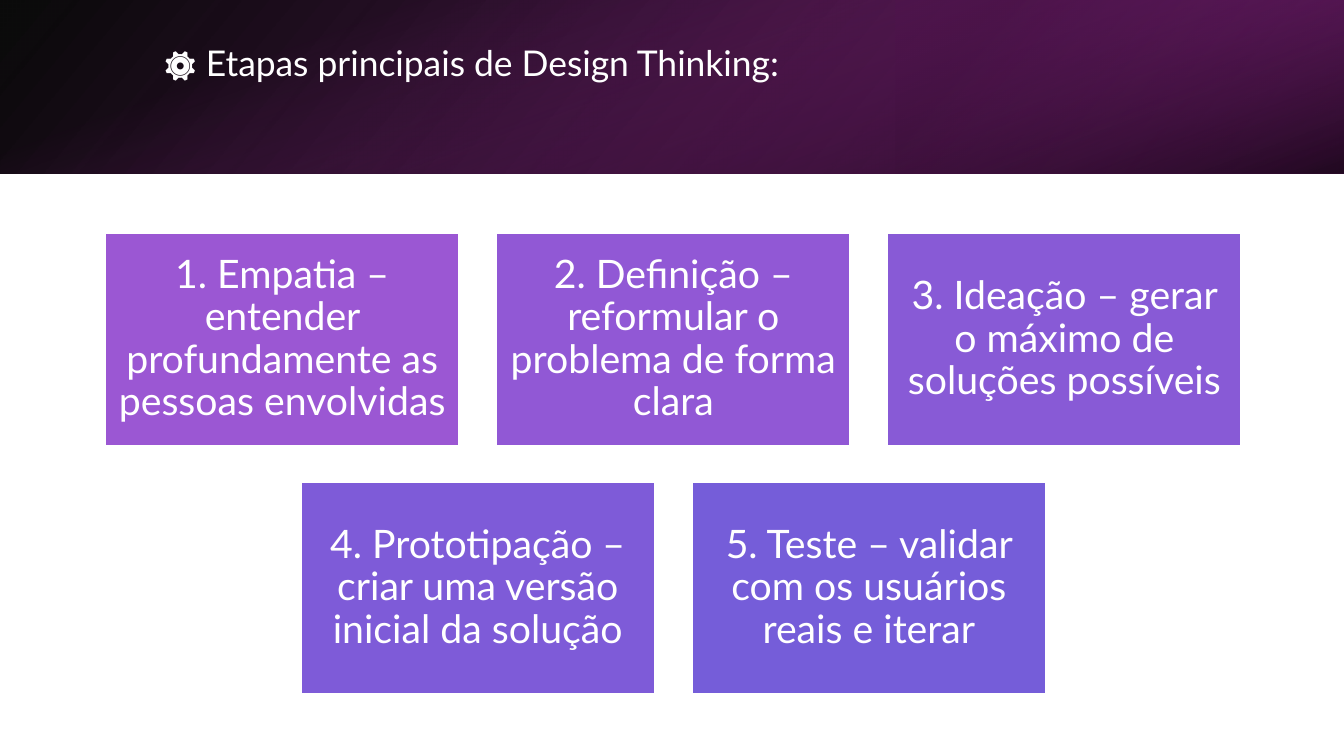
from typing import NamedTuple

from lxml import etree
from pptx import Presentation
from pptx import util as u
from pptx.dml.color import RGBColor
from pptx.enum import shapes, text
from pptx.oxml.ns import qn

WHITE = RGBColor(0xFF, 0xFF, 0xFF)
BLACK = RGBColor(0x00, 0x00, 0x00)
PLUM = RGBColor(0x6D, 0x1D, 0x6B)
DARK_PLUM = RGBColor(0x49, 0x14, 0x47)
MAGENTA = RGBColor(0x92, 0x27, 0x8F)
FONT = "Lato"

# Widescreen slide, 16:9
WIDTH = u.Inches(10)
HEIGHT = WIDTH * 9 // 16
BANNER_HEIGHT = u.Inches(1.29)

# Card grid: each row is centred on the slide
CARD_WIDTH, CARD_HEIGHT = u.Inches(2.64), u.Inches(1.59)
COLUMN_STEP, ROW_STEP = u.Inches(2.91), u.Inches(1.85)
GRID_TOP = u.Inches(1.73)
GRID_CENTRE = WIDTH // 2 + u.Inches(0.01)


class Stop(NamedTuple):
    position: int
    colour: RGBColor
    opacity: int


class Band(NamedTuple):
    left: int
    top: int
    width: int
    height: int
    rotation: int
    flipped: bool
    angle: int
    stops: tuple[Stop, ...]


class Stage(NamedTuple):
    caption: str
    colour: RGBColor


BANDS = (
    Band(0, 0, WIDTH, BANNER_HEIGHT, 0, True, 140,
         (Stop(0, BLACK, 96), Stop(100, PLUM, 100))),
    Band(WIDTH * 2 // 3, 0, WIDTH // 3, BANNER_HEIGHT, 180, True, 320,
         (Stop(19, DARK_PLUM, 68), Stop(100, MAGENTA, 79))),
    # Stands upright and is turned to lie across the banner
    Band((WIDTH - BANNER_HEIGHT) // 2, (BANNER_HEIGHT - WIDTH) // 2,
         BANNER_HEIGHT, WIDTH, 90, False, 340,
         (Stop(23, MAGENTA, 0), Stop(99, BLACK, 74))),
)

STAGE_ROWS = (
    (
        Stage("1. Empatia – entender profundamente as pessoas envolvidas",
              RGBColor(0x9B, 0x57, 0xD3)),
        Stage("2. Definição – reformular o problema de forma clara",
              RGBColor(0x91, 0x58, 0xD5)),
        Stage("3. Ideação – gerar o máximo de soluções possíveis",
              RGBColor(0x88, 0x5A, 0xD6)),
    ),
    (
        Stage("4. Prototipação – criar uma versão inicial da solução",
              RGBColor(0x7E, 0x5B, 0xD8)),
        Stage("5. Teste – validar com os usuários reais e iterar",
              RGBColor(0x75, 0x5D, 0xD9)),
    ),
)


def add_rectangle(slide, left: int, top: int, width: int, height: int):
    rectangle = slide.shapes.add_shape(
        shapes.MSO_SHAPE.RECTANGLE, left, top, width, height)
    rectangle.shadow.inherit = False
    return rectangle


def add_band(slide, band: Band) -> None:
    rectangle = add_rectangle(slide, band.left, band.top, band.width, band.height)
    rectangle.rotation = band.rotation
    rectangle.line.fill.background()
    properties = rectangle._element.spPr
    if band.flipped:
        properties.find(qn("a:xfrm")).set("flipH", "1")

    # Gradient with transparent stops
    gradient = etree.Element(qn("a:gradFill"), rotWithShape="1")
    stop_list = etree.SubElement(gradient, qn("a:gsLst"))
    for stop in band.stops:
        entry = etree.SubElement(stop_list, qn("a:gs"), pos=str(stop.position * 1000))
        colour = etree.SubElement(entry, qn("a:srgbClr"), val=str(stop.colour))
        etree.SubElement(colour, qn("a:alpha"), val=str(stop.opacity * 1000))
    etree.SubElement(gradient, qn("a:lin"), ang=str(band.angle * 60000), scaled="0")
    properties.find(qn("a:prstGeom")).addnext(gradient)


def write(frame, words: str, size: int, alignment, anchor) -> None:
    frame.text = words
    frame.word_wrap = True
    frame.auto_size = text.MSO_AUTO_SIZE.NONE
    frame.vertical_anchor = anchor
    paragraph = frame.paragraphs[0]
    paragraph.alignment = alignment
    paragraph.line_spacing = 0.9
    for run in paragraph.runs:
        run.font.name = FONT
        run.font.size = u.Pt(size)
        run.font.color.rgb = WHITE


def add_stage(slide, stage: Stage, left: int, top: int) -> None:
    card = add_rectangle(slide, left, top, CARD_WIDTH, CARD_HEIGHT)
    card.fill.solid()
    card.fill.fore_color.rgb = stage.colour
    card.line.color.rgb = WHITE
    card.line.width = u.Pt(1.5)
    frame = card.text_frame
    frame.margin_left = frame.margin_right = u.Inches(0.09)
    frame.margin_top = frame.margin_bottom = u.Inches(0.09)
    write(frame, stage.caption, 21, text.PP_ALIGN.CENTER, text.MSO_ANCHOR.MIDDLE)


def main() -> None:
    deck = Presentation()
    deck.slide_width, deck.slide_height = WIDTH, HEIGHT
    slide = deck.slides.add_slide(deck.slide_layouts[5])

    # Banner
    for band in BANDS:
        add_band(slide, band)

    # Title, brought in front of the banner
    title = slide.shapes.title
    title.left, title.top = u.Inches(1.12), u.Inches(0.29)
    title.width, title.height = u.Inches(8.24), u.Inches(0.72)
    write(title.text_frame, "⚙️ Etapas principais de Design Thinking:", 19,
          text.PP_ALIGN.LEFT, text.MSO_ANCHOR.TOP)
    slide.shapes._spTree.append(title._element)

    # Stage cards
    for row, stages in enumerate(STAGE_ROWS):
        row_width = (len(stages) - 1) * COLUMN_STEP + CARD_WIDTH
        row_left = GRID_CENTRE - row_width // 2
        for column, stage in enumerate(stages):
            add_stage(slide, stage, row_left + column * COLUMN_STEP,
                      GRID_TOP + row * ROW_STEP)

    deck.save("out.pptx")


if __name__ == "__main__":
    main()
